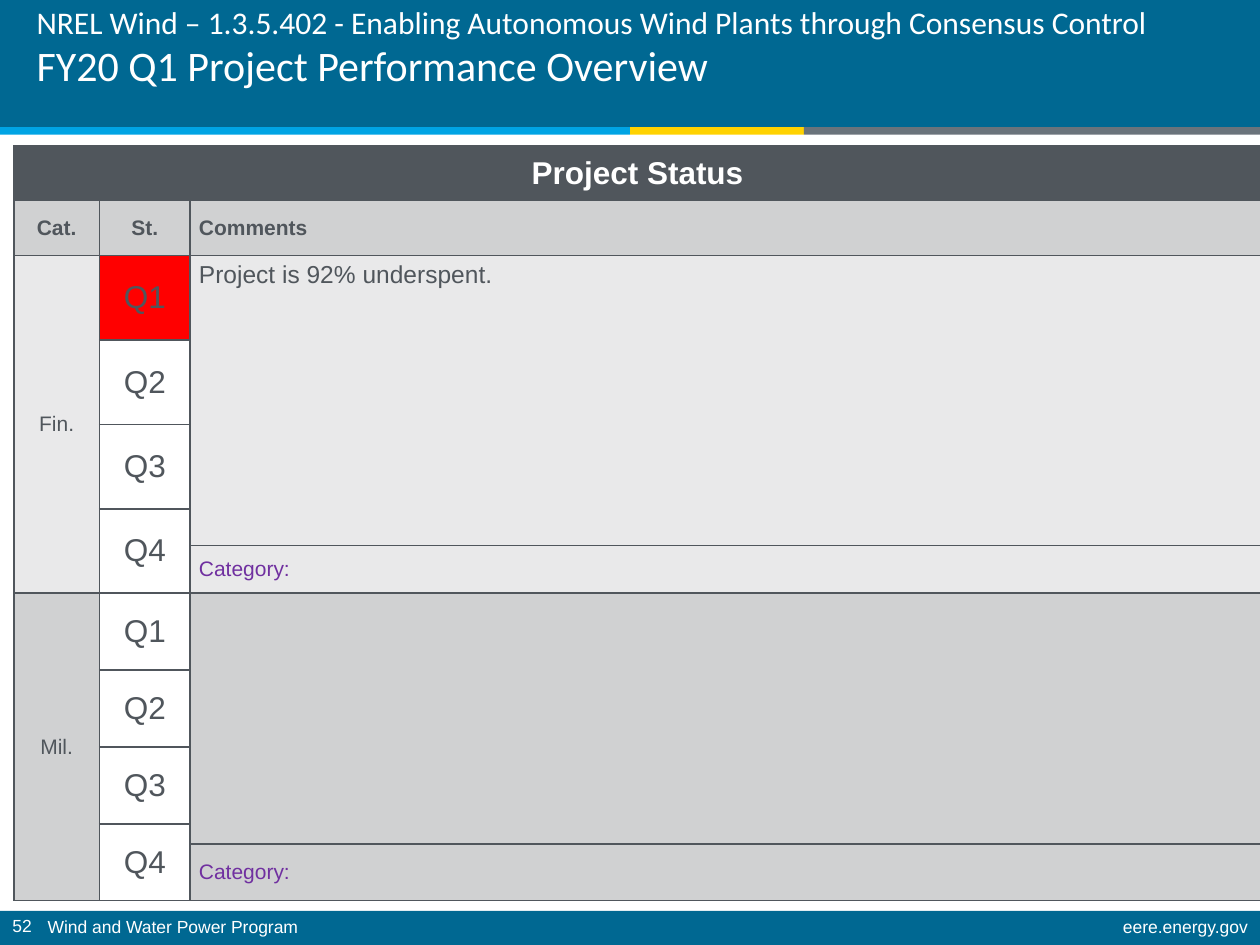
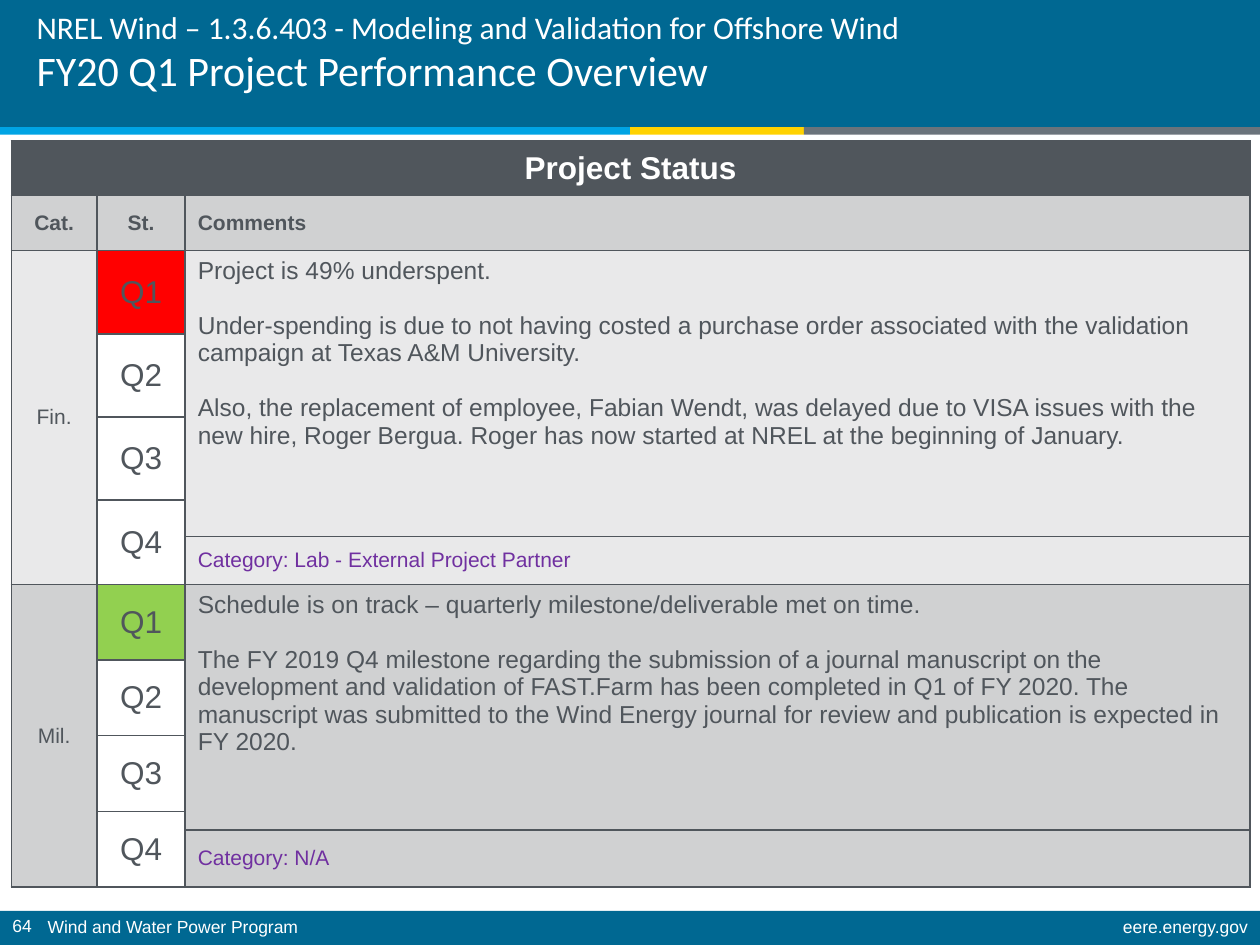
from lxml import etree
from pptx import Presentation
from pptx import util as u
from pptx.dml.color import RGBColor
from pptx.enum import shapes, text
from pptx.oxml.ns import qn

BLUE = RGBColor(0x00, 0x68, 0x92)
SKY = RGBColor(0x00, 0xA4, 0xE4)
YELLOW = RGBColor(0xFF, 0xD2, 0x00)
GRAY = RGBColor(0x6A, 0x73, 0x7B)
SLATE = RGBColor(0x50, 0x56, 0x5C)
SILVER = RGBColor(0xD0, 0xD1, 0xD2)
PALE = RGBColor(0xE9, 0xE9, 0xEA)
WHITE = RGBColor(0xFF, 0xFF, 0xFF)
PURPLE = RGBColor(0x70, 0x30, 0xA0)
RED = RGBColor(0xFF, 0x00, 0x00)
GREEN = RGBColor(0x92, 0xD0, 0x50)

LEFT, CENTER, RIGHT = text.PP_ALIGN.LEFT, text.PP_ALIGN.CENTER, text.PP_ALIGN.RIGHT
MIDDLE, TOP = text.MSO_ANCHOR.MIDDLE, text.MSO_ANCHOR.TOP
NO_PAD = (0, 0, 0, 0)


def write(para, words, size=12, color=SLATE, bold=False, font="Arial", align=LEFT):
    para.alignment = align
    span = para.add_run()
    span.text = words
    span.font.name = font
    span.font.size = u.Pt(size)
    span.font.bold = bold
    span.font.color.rgb = color


def inches(*lengths):
    return [u.Inches(length) for length in lengths]


class StatusDeck:
    def __init__(self):
        self.deck = Presentation()
        self.deck.slide_width, self.deck.slide_height = inches(10, 7.5)
        self.page = None

    def add_page(self, number, project):
        self.page = self.deck.slides.add_slide(self.deck.slide_layouts[5])
        self.band(0, 0, 10, 1.01, BLUE)
        self.band(0, 7.23, 10, 0.27, BLUE)
        left = 0
        for width, color in ((5, SKY), (1.38, YELLOW), (3.62, GRAY)):
            self.band(left, 1.01, width, 0.06, color)
            left += width
        self.footer(0.28, 7.24, 7.97, "Wind and Water Power Program", spacing=0.9)
        self.footer(5.99, 7.24, 4.01, "eere.energy.gov", align=RIGHT, spacing=0.9)
        self.footer(0, 7.21, 0.43, number)
        self.title(project["title"], *project["title_at"])
        self.status_table(**project["table"])

    def band(self, left, top, width, height, color):
        shape = self.page.shapes.add_shape(
            shapes.MSO_SHAPE.RECTANGLE, *inches(left, top, width, height))
        shape.shadow.inherit = False
        shape.fill.solid()
        shape.fill.fore_color.rgb = color
        shape.line.fill.background()

    def footer(self, left, top, width, words, align=LEFT, spacing=1.0):
        box = self.page.shapes.add_textbox(*inches(left, top, width, 0.26))
        box.text_frame.word_wrap = True
        para = box.text_frame.paragraphs[0]
        para.line_spacing = spacing
        write(para, words, size=10, color=WHITE, align=align)

    def title(self, project_name, left, top, width, height):
        title = self.page.shapes.title
        title.left, title.top, title.width, title.height = inches(left, top, width, height)
        title.element.getparent().append(title.element)
        frame = title.text_frame
        frame.word_wrap = True
        frame.auto_size = text.MSO_AUTO_SIZE.NONE
        frame.vertical_anchor = MIDDLE
        para = frame.paragraphs[0]
        para.line_spacing = u.Pt(28)
        write(para, project_name, size=18, color=WHITE, font="Calibri")
        para.add_line_break()
        write(para, "FY20 Q1 Project Performance Overview", size=24, color=WHITE,
              font="Calibri")

    def status_table(self, left, top, columns, rows, pad, categories):
        frame = self.page.shapes.add_table(
            len(rows), len(columns), *inches(left, top, sum(columns), sum(rows)))
        grid = frame.table
        grid.first_row = grid.horz_banding = False
        for column, width in zip(grid.columns, columns):
            column.width = u.Inches(width)
        for row, height in zip(grid.rows, rows):
            row.height = u.Inches(height)

        side, edge = pad
        full_pad = (side, edge, side, edge)
        self.cell(grid, 0, 0, ["Project Status"], SLATE, across=3, pad=full_pad,
                  size=18, color=WHITE, bold=True, align=CENTER)
        self.cell(grid, 1, 0, ["Cat."], SILVER, bold=True, align=CENTER)
        self.cell(grid, 1, 1, ["St."], SILVER, bold=True, align=CENTER)
        self.cell(grid, 1, 2, ["Comments"], SILVER, pad=full_pad, bold=True)

        for index, (name, shade, status, comments, reason) in enumerate(categories):
            first = 2 + 5 * index
            self.cell(grid, first, 0, [name], shade, down=5, align=CENTER)
            for quarter in range(4):
                self.cell(grid, first + quarter, 1, [f"Q{quarter + 1}"],
                          WHITE if quarter else status,
                          down=2 if quarter == 3 else 1, size=18, align=CENTER)
            self.cell(grid, first, 2, comments, shade, down=4, pad=full_pad,
                      anchor=TOP, size=14)
            self.cell(grid, first + 4, 2, [f"Category: {reason}".strip()], shade,
                      pad=(side, 0, 0, 0), color=PURPLE)

    def cell(self, grid, row, column, paragraphs, fill, down=1, across=1,
             pad=NO_PAD, anchor=MIDDLE, **style):
        cell = grid.cell(row, column)
        if down * across > 1:
            cell.merge(grid.cell(row + down - 1, column + across - 1))
        cell.margin_left, cell.margin_top, cell.margin_right, cell.margin_bottom = inches(*pad)
        cell.vertical_anchor = anchor
        self.borders(cell)
        cell.fill.solid()
        cell.fill.fore_color.rgb = fill
        frame = cell.text_frame
        for index, words in enumerate(paragraphs):
            para = frame.add_paragraph() if index else frame.paragraphs[0]
            if index:
                para.space_before = u.Pt(15.7)
            write(para, words, **style)

    def borders(self, cell):
        properties = cell._tc.get_or_add_tcPr()
        for edge in ("a:lnL", "a:lnR", "a:lnT", "a:lnB"):
            line = etree.SubElement(properties, qn(edge), w=str(u.Pt(1)))
            paint = etree.SubElement(line, qn("a:solidFill"))
            etree.SubElement(paint, qn("a:srgbClr"), val=str(SLATE))


PROJECTS = {
    "52": {
        "title": "NREL Wind – 1.3.5.402 - Enabling Autonomous Wind Plants "
                 "through Consensus Control",
        "title_at": (0.19, 0, 9.33, 0.65),
        "table": {
            "left": 0.11, "top": 1.16, "pad": (0.07, 0.04),
            "columns": (0.68, 0.72, 8.5),
            "rows": (0.43, 0.44, *[0.67] * 3, 0.29, 0.38, *[0.61] * 3, 0.16, 0.45),
            "categories": (
                ("Fin.", PALE, RED, ["Project is 92% underspent."], ""),
                ("Mil.", SILVER, WHITE, [], ""),
            ),
        },
    },
    "64": {
        "title": "NREL Wind – 1.3.6.403 - Modeling and Validation for Offshore Wind",
        "title_at": (0.19, -0.07, 7.12, 0.87),
        "table": {
            "left": 0.09, "top": 1.12, "pad": (0.1, 0.05),
            "columns": (0.68, 0.7, 8.45),
            "rows": (0.43, 0.44, *[0.66] * 3, 0.29, 0.38, *[0.6] * 3, 0.15, 0.45),
            "categories": (
                ("Fin.", PALE, RED, [
                    "Project is 49% underspent.",
                    "Under-spending is due to not having costed a purchase order "
                    "associated with the validation campaign at Texas A&M University.",
                    "Also, the replacement of employee, Fabian Wendt, was delayed due "
                    "to VISA issues with the new hire, Roger Bergua. Roger has now "
                    "started at NREL at the beginning of January.",
                ], "Lab - External Project Partner"),
                ("Mil.", SILVER, GREEN, [
                    "Schedule is on track – quarterly milestone/deliverable met on time.",
                    "The FY 2019 Q4 milestone regarding the submission of a journal "
                    "manuscript on the development and validation of FAST.Farm has been "
                    "completed in Q1 of FY 2020. The manuscript was submitted to the "
                    "Wind Energy journal for review and publication is expected in "
                    "FY 2020.",
                ], "N/A"),
            ),
        },
    },
}


def main():
    status = StatusDeck()
    for number, project in PROJECTS.items():
        status.add_page(number, project)
    status.deck.save("out.pptx")


if __name__ == "__main__":
    main()
